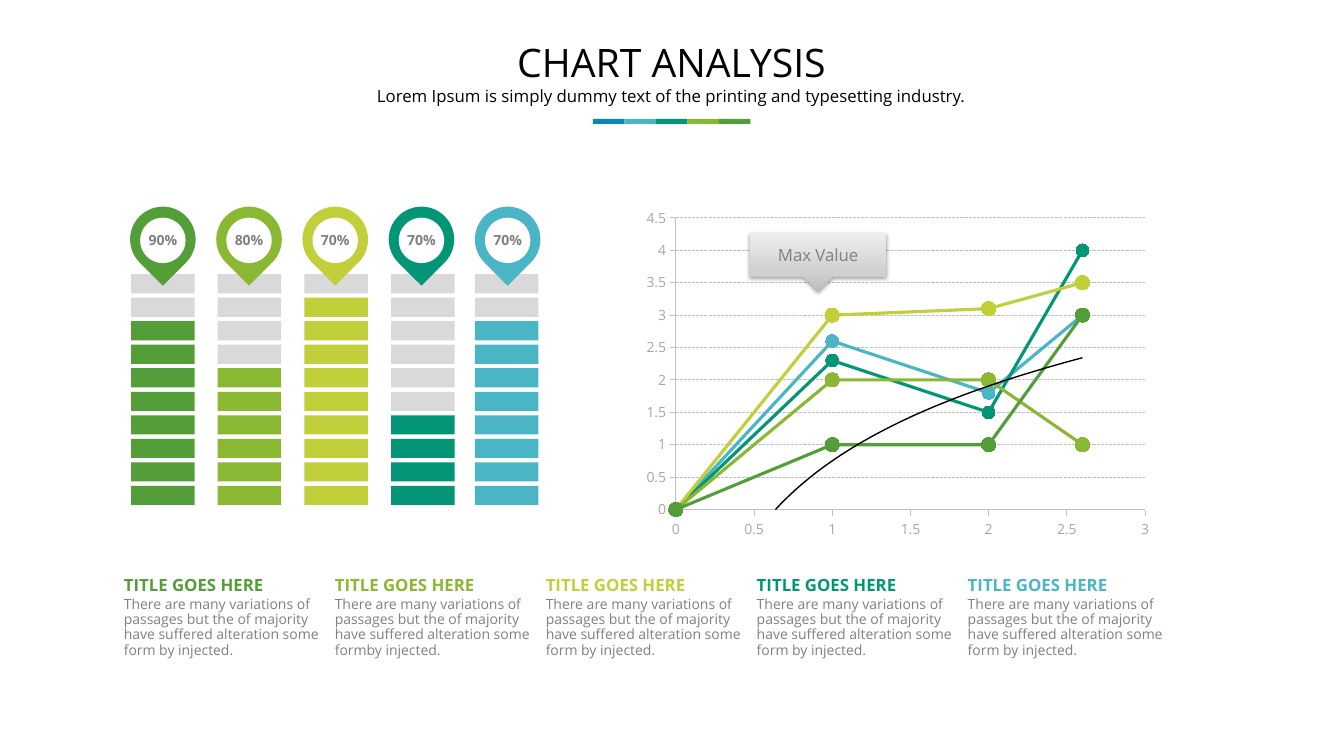
from dataclasses import dataclass

from lxml import etree
from pptx import Presentation
from pptx.chart.data import XyChartData
from pptx.dml.color import RGBColor
from pptx.enum.chart import XL_CHART_TYPE, XL_MARKER_STYLE, XL_TICK_MARK
from pptx.enum.dml import MSO_LINE
from pptx.enum.shapes import MSO_SHAPE
from pptx.enum.text import MSO_ANCHOR, PP_ALIGN
from pptx.oxml import parse_xml
from pptx.oxml.ns import nsdecls, qn
from pptx.util import Inches, Pt

RECT, OVAL, TEARDROP = MSO_SHAPE.RECTANGLE, MSO_SHAPE.OVAL, MSO_SHAPE.TEAR
CALLOUT = MSO_SHAPE.DOWN_ARROW_CALLOUT
LEFT, CENTER = PP_ALIGN.LEFT, PP_ALIGN.CENTER
TOP, MIDDLE = MSO_ANCHOR.TOP, MSO_ANCHOR.MIDDLE
SMOOTH_SCATTER = XL_CHART_TYPE.XY_SCATTER_SMOOTH
CIRCLE = XL_MARKER_STYLE.CIRCLE
TICK_OUTSIDE, TICK_NONE = XL_TICK_MARK.OUTSIDE, XL_TICK_MARK.NONE
DASH = MSO_LINE.SQUARE_DOT


@dataclass(frozen=True)
class Theme:
    font: str = "Open Sans"
    accents: tuple = ("549E39", "8AB833", "C0CF3A", "029676", "4AB5C4")
    blue: str = "0989B1"
    black: str = "000000"
    white: str = "FFFFFF"
    body: str = "808080"
    empty: str = "D9D9D9"
    axis_label: str = "A6A6A6"
    axis_line: str = "BFBFBF"
    callout: tuple = ((0, "BDBDBD"), (35, "D1D1D1"), (100, "EEEEEE"))
    title_size: int = 28
    heading_size: int = 12
    small_size: int = 10


THEME = Theme()

# accent, bar left, filled bars, pin label, body text
BODY = ("There are many variations of passages but the of majority "
        "have suffered alteration some {} injected.")
COLUMNS = list(zip(
    THEME.accents,
    (1.3, 2.16, 3.02, 3.88, 4.71),
    (8, 6, 9, 4, 8),
    ("90%", "80%", "70%", "70%", "70%"),
    [BODY.format(ending) for ending in
     ("form by", "formby", "form by", "form by", "form by")],
))
BARS_PER_COLUMN = 10
X_VALUES = (0, 1, 2, 2.6)
SERIES = (
    (0, 1, 1, 3),
    (0, 2, 2, 1),
    (0, 3, 3.1, 3.5),
    (0, 2.3, 1.5, 4),
    (0, 2.6, 1.8, 3),
)


def rgb(color):
    return RGBColor.from_string(color)


def write(frame, text, *, size, color, bold=False, align=LEFT, before=0,
          spacing=None, append=False):
    """Write one paragraph: the first of the frame, or a further one if append is set."""
    paragraph = frame.add_paragraph() if append else frame.paragraphs[0]
    paragraph.alignment = align
    paragraph.space_before = Pt(before)
    paragraph.line_spacing = spacing
    run = paragraph.add_run()
    run.text = text
    run.font.name = THEME.font
    run.font.size = Pt(size)
    run.font.bold = bold
    run.font.color.rgb = rgb(color)


class SlideBuilder:
    def __init__(self, slide, theme):
        self.slide, self.theme = slide, theme

    def group(self):
        return self.slide.shapes.add_group_shape()

    def shape(self, kind, left, top, width, height, fill=None, parent=None, rotation=0):
        shapes = (parent or self.slide).shapes
        shape = shapes.add_shape(kind, Inches(left), Inches(top), Inches(width), Inches(height))
        shape.shadow.inherit = False
        shape.line.fill.background()
        shape.rotation = rotation
        if fill:
            shape.fill.solid()
            shape.fill.fore_color.rgb = rgb(fill)
        return shape

    def text_box(self, left, top, width, height, anchor=TOP):
        box = self.slide.shapes.add_textbox(
            Inches(left), Inches(top), Inches(width), Inches(height))
        box.text_frame.word_wrap = True
        box.text_frame.vertical_anchor = anchor
        return box.text_frame

    def bar_column(self, left, color, filled):
        column = self.group()
        for level in range(BARS_PER_COLUMN):
            self.shape(RECT, left, 4.82 - level * 2.1 / 9, 0.63, 0.19,
                       color if level < filled else self.theme.empty, column)

    def pin(self, left, color, label):
        pin = self.group()
        self.shape(TEARDROP, left, 2.05, 0.65, 0.65, color, pin, rotation=135)
        frame = self.shape(OVAL, left + 0.1, 2.16, 0.45, 0.45, self.theme.white, pin).text_frame
        frame.margin_left = frame.margin_right = frame.margin_top = frame.margin_bottom = 0
        frame.vertical_anchor = MIDDLE
        frame.word_wrap = False
        write(frame, label, size=self.theme.small_size, color=self.theme.body,
              bold=True, align=CENTER)

    def callout(self, text, left, top, width, height):
        callout = self.shape(CALLOUT, left, top, width, height)
        for index, value in enumerate((0.25, 0.25, 0.25, 0.75)):
            callout.adjustments[index] = value
        callout.fill.background()
        properties = callout.fill._xPr
        stops = "".join(f'<a:gs pos="{position * 1000}"><a:srgbClr val="{color}"/></a:gs>'
                        for position, color in self.theme.callout)
        gradient = parse_xml(f'<a:gradFill {nsdecls("a")} rotWithShape="1"><a:gsLst>{stops}'
                             '</a:gsLst><a:lin ang="16200000" scaled="0"/></a:gradFill>')
        properties.replace(properties.find(qn("a:noFill")), gradient)
        properties.find(qn("a:effectLst")).append(parse_xml(
            f'<a:outerShdw {nsdecls("a")} blurRad="40000" dist="20000" dir="5400000" '
            'rotWithShape="0"><a:srgbClr val="000000"><a:alpha val="38000"/>'
            '</a:srgbClr></a:outerShdw>'))
        callout.text_frame.vertical_anchor = MIDDLE
        write(callout.text_frame, text, size=self.theme.heading_size,
              color=self.theme.body, align=CENTER)

    def style_axis(self, axis, maximum):
        axis.minimum_scale, axis.maximum_scale, axis.major_unit = 0, maximum, 0.5
        axis.major_tick_mark, axis.minor_tick_mark = TICK_OUTSIDE, TICK_NONE
        axis.format.line.color.rgb = rgb(self.theme.axis_line)
        axis.format.line.width = Pt(0.75)
        axis.has_major_gridlines = False

    def scatter(self, left, top, width, height):
        data = XyChartData()
        for number, values in enumerate(SERIES, 1):
            series = data.add_series(f"Series {number}")
            for x, y in zip(X_VALUES, values):
                series.add_data_point(x, y)
        chart = self.slide.shapes.add_chart(
            SMOOTH_SCATTER, Inches(left), Inches(top), Inches(width), Inches(height), data).chart
        chart.has_legend = chart.has_title = False
        chart.font.name = self.theme.font
        chart.font.size = Pt(self.theme.small_size)
        chart.font.color.rgb = rgb(self.theme.axis_label)
        self.style_axis(chart.category_axis, 3)
        self.style_axis(chart.value_axis, 4.5)
        chart.value_axis.has_major_gridlines = True
        grid = chart.value_axis.major_gridlines.format.line
        grid.color.rgb = rgb(self.theme.axis_line)
        grid.width, grid.dash_style = Pt(0.75), DASH
        plot = chart.plots[0]
        plot.vary_by_categories = False
        for series, color, size in zip(plot.series, self.theme.accents, (10, 10, 10, 9, 9)):
            series.smooth = True
            series.format.line.color.rgb = rgb(color)
            series.format.line.width = Pt(2.25)
            series.marker.style, series.marker.size = CIRCLE, size
            series.marker.format.fill.solid()
            series.marker.format.fill.fore_color.rgb = rgb(color)
            series.marker.format.line.color.rgb = rgb(color)
        self.log_trend(plot.series[0])

    def log_trend(self, series):
        trend = etree.Element(qn("c:trendline"))
        trend.append(parse_xml(
            f'<c:spPr {nsdecls("c", "a")}><a:ln w="12700"><a:solidFill><a:srgbClr '
            f'val="{self.theme.black}"/></a:solidFill></a:ln></c:spPr>'))
        for tag, value in (("trendlineType", "log"), ("dispRSqr", "0"), ("dispEq", "0")):
            etree.SubElement(trend, qn(f"c:{tag}"), val=value)
        series._element.find(qn("c:xVal")).addprevious(trend)


def main():
    presentation = Presentation()
    presentation.slide_width, presentation.slide_height = Inches(13.33), Inches(7.5)
    slide = presentation.slides.add_slide(presentation.slide_layouts[6])
    builder = SlideBuilder(slide, THEME)

    builder.scatter(6.31, 2, 5.19, 3.41)
    builder.callout("Max Value", 7.44, 2.31, 1.35, 0.58)

    for index, (color, bar_left, filled, label, body) in enumerate(COLUMNS):
        caption = builder.text_box(1.13 + index * 2.0925, 5.67, 2.2, 1.01)
        write(caption, "TITLE GOES HERE", size=THEME.heading_size, color=color,
              bold=True, spacing=0.9)
        write(caption, body, size=THEME.small_size, color=THEME.body,
              before=2, spacing=0.9, append=True)
        builder.bar_column(bar_left, color, filled)
        builder.pin(1.29 + index * 0.855, color, label)

    write(builder.text_box(2.71, 0.4, 7.9, 0.49, MIDDLE), "CHART ANALYSIS",
          size=THEME.title_size, color=THEME.black, align=CENTER, spacing=0.9)
    write(builder.text_box(3.29, 0.82, 6.74, 0.3),
          "Lorem Ipsum is simply dummy text of the printing and typesetting industry.",
          size=THEME.heading_size, color=THEME.black, align=CENTER, spacing=0.9)

    stripe = builder.group()
    green, lime, _, teal, sky = THEME.accents
    for index, color in enumerate((THEME.blue, sky, teal, lime, green)):
        builder.shape(RECT, 5.88 + index * 0.3125, 1.18, 0.3125, 0.05, color, stripe)

    presentation.save("out.pptx")


if __name__ == "__main__":
    main()
